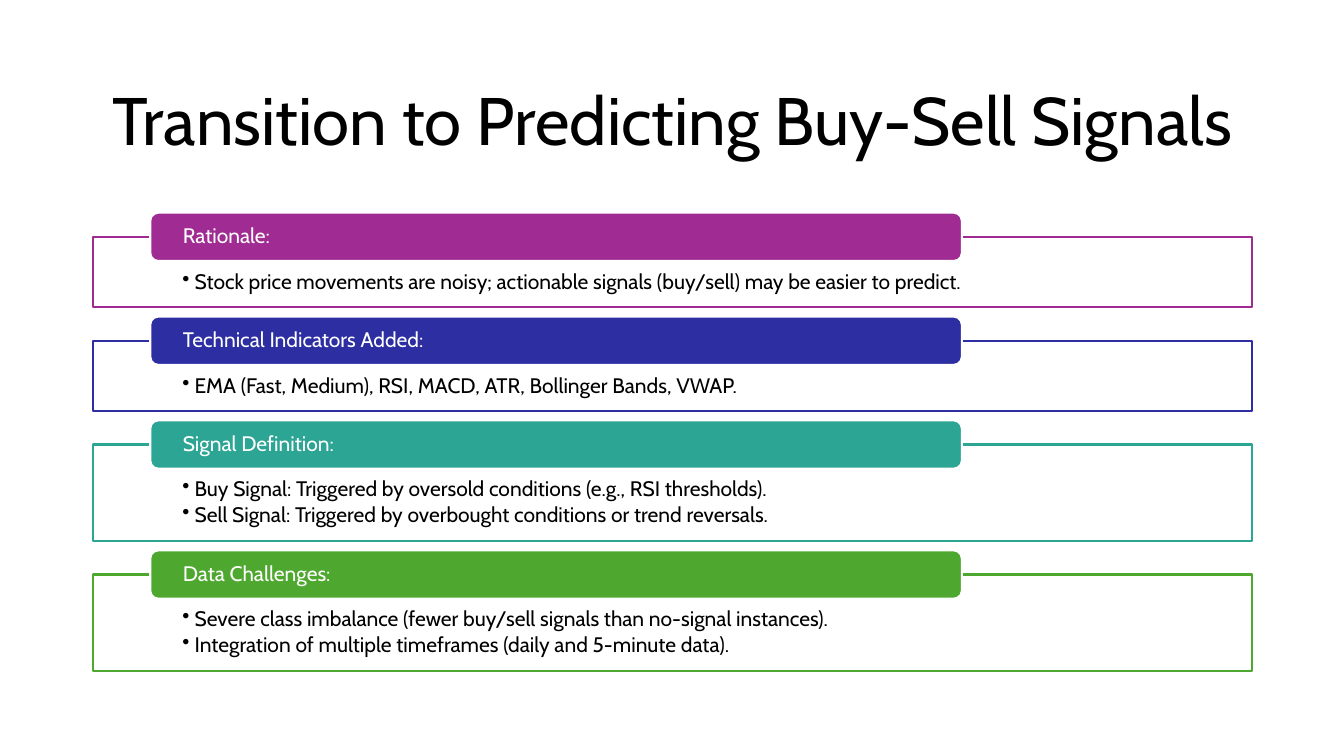
from lxml.etree import SubElement
from pptx import Presentation
from pptx.dml.color import RGBColor
from pptx.enum.shapes import MSO_SHAPE as Shape
from pptx.enum.text import MSO_ANCHOR as Anchor, PP_ALIGN as Align
from pptx.oxml.ns import qn
from pptx.util import Inches, Pt

FONT = "Cabin"
BLACK = RGBColor(0x00, 0x00, 0x00)
WHITE = RGBColor(0xFF, 0xFF, 0xFF)
PURPLE = RGBColor(0xA0, 0x2B, 0x93)
BLUE = RGBColor(0x2C, 0x2E, 0xA2)
TEAL = RGBColor(0x2D, 0xA5, 0x94)
GREEN = RGBColor(0x4E, 0xA7, 0x2E)

# Lengths in inches
LEFT, WIDTH = 0.92, 11.5
FIRST_TOP = 2.35
ONE_LINE_HEIGHT, EXTRA_LINE = 0.7, 0.26
SECTION_GAP = 0.33
TAB_INDENT, TAB_RISE = 0.57, 0.24
TAB_WIDTH, TAB_HEIGHT = 8.05, 0.48
BULLET_INDENT = 0.12

SECTIONS = [
    ("Rationale:", PURPLE, [
        "Stock price movements are noisy; actionable signals (buy/sell) may be easier to predict.",
    ]),
    ("Technical Indicators Added:", BLUE, [
        "EMA (Fast, Medium), RSI, MACD, ATR, Bollinger Bands, VWAP.",
    ]),
    ("Signal Definition:", TEAL, [
        "Buy Signal: Triggered by oversold conditions (e.g., RSI thresholds).",
        "Sell Signal: Triggered by overbought conditions or trend reversals.",
    ]),
    ("Data Challenges:", GREEN, [
        "Severe class imbalance (fewer buy/sell signals than no-signal instances).",
        "Integration of multiple timeframes (daily and 5-minute data).",
    ]),
]


def set_frame(frame, anchor, insets):
    frame.word_wrap = True
    frame.vertical_anchor = anchor
    (frame.margin_left, frame.margin_top,
     frame.margin_right, frame.margin_bottom) = map(Inches, insets)


def write(para, text, size, color, align=Align.LEFT):
    para.alignment = align
    para.line_spacing = 0.9
    span = para.add_run()
    span.text = text
    span.font.name = FONT
    span.font.size = Pt(size)
    span.font.color.rgb = color


def add_bullet(para):
    props = para._p.get_or_add_pPr()
    props.set("marL", str(Inches(BULLET_INDENT)))
    props.set("indent", str(-Inches(BULLET_INDENT)))
    after = SubElement(props, qn("a:spcAft"))
    SubElement(after, qn("a:spcPct")).set("val", "15000")
    SubElement(props, qn("a:buChar")).set("char", "•")


def add_box(shapes, kind, left, top, width, height, fill, line):
    box = shapes.add_shape(kind, Inches(left), Inches(top), Inches(width), Inches(height))
    box.shadow.inherit = False
    box.fill.solid()
    box.fill.fore_color.rgb = fill
    box.line.color.rgb = line
    box.line.width = Pt(1.5)
    return box


def add_title(page, left, top, width, height):
    box = page.shapes.add_textbox(Inches(left), Inches(top), Inches(width), Inches(height))
    set_frame(box.text_frame, Anchor.MIDDLE, (0.1, 0.05, 0.1, 0.05))
    write(box.text_frame.paragraphs[0], "Transition to Predicting Buy-Sell Signals",
          48, BLACK, Align.CENTER)


def add_section(shapes, left, top, width, height, heading, color, points):
    # Outlined panel with bullets
    panel = add_box(shapes, Shape.RECTANGLE, left, top, width, height, WHITE, color)
    white = panel.fill._xPr.find(qn("a:solidFill"))[0]
    SubElement(white, qn("a:alpha")).set("val", "90000")
    frame = panel.text_frame
    set_frame(frame, Anchor.TOP, (0.89, 0.34, 0.89, 0.12))
    for number, point in enumerate(points):
        para = frame.add_paragraph() if number else frame.paragraphs[0]
        write(para, point, 15, BLACK)
        add_bullet(para)

    # Coloured heading tab over the top edge
    tab = add_box(shapes, Shape.ROUNDED_RECTANGLE, left + TAB_INDENT, top - TAB_RISE,
                  TAB_WIDTH, TAB_HEIGHT, color, WHITE)
    set_frame(tab.text_frame, Anchor.MIDDLE, (0.3, 0, 0.3, 0))
    write(tab.text_frame.paragraphs[0], heading, 15, WHITE)


def main():
    deck = Presentation()
    deck.slide_width, deck.slide_height = Inches(13.33), Inches(7.5)
    page = deck.slides.add_slide(deck.slide_layouts[6])
    add_title(page, LEFT, 0.61, WIDTH, 1.24)

    # Stack of sections, each as tall as its bullets need
    stack = page.shapes.add_group_shape()
    top = FIRST_TOP
    for heading, color, points in SECTIONS:
        height = ONE_LINE_HEIGHT + EXTRA_LINE * (len(points) - 1)
        add_section(stack.shapes, LEFT, top, WIDTH, height, heading, color, points)
        top += height + SECTION_GAP

    deck.save("out.pptx")


if __name__ == "__main__":
    main()
